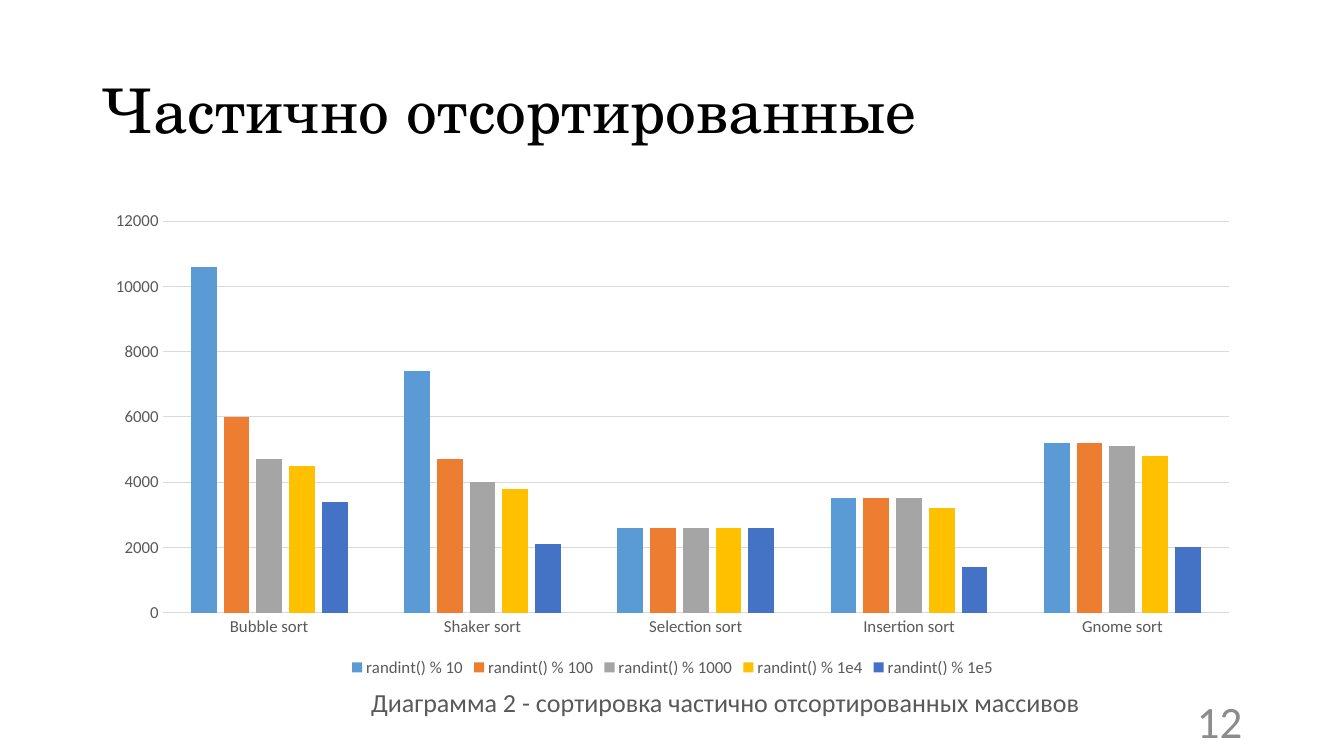
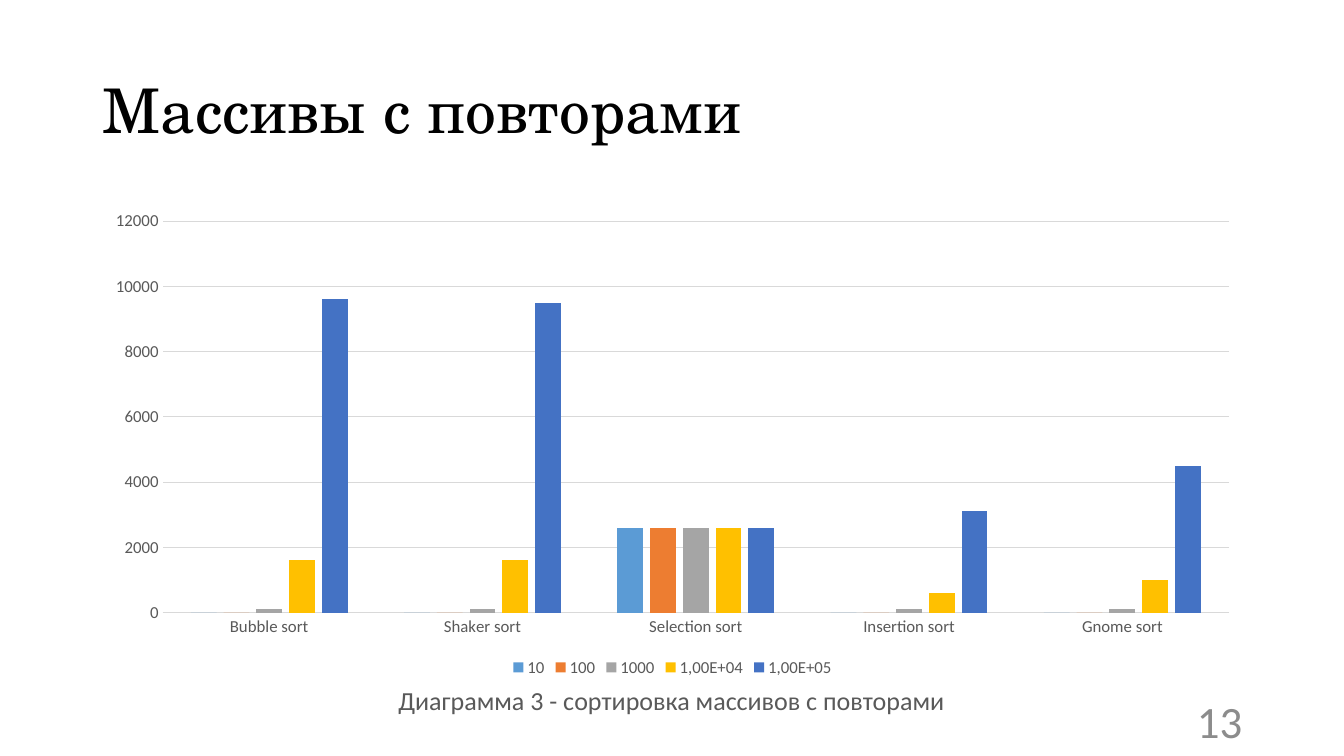
from pptx import Presentation
from pptx import util as u
from pptx.chart import data as cd
from pptx.dml import color as dml
from pptx.enum import chart as ch, text as tx

TITLE_FONT, BODY_FONT = "TeX Gyre Schola", "Calibri"
BLACK, GREY, NUMBER, RULE = "000000", "595959", "8C8C8C", "D9D9D9"
SERIES_COLORS = ["5B9BD5", "ED7D31", "A5A5A5", "FFC000", "4472C4"]
SORTS = ["Bubble sort", "Shaker sort", "Selection sort", "Insertion sort", "Gnome sort"]

TITLE_BOX = (0.92, 0.4, 11.5, 1.45)
CHART_BOX = (0.92, 2, 11.5, 4.76)
NUMBER_BOX = (9.42, 6.95, 3, 0.4)

TITLE = {"name": TITLE_FONT, "size": u.Pt(44)}
CAPTION = {"name": BODY_FONT, "size": u.Pt(18.6)}
PAGE = {"name": BODY_FONT, "size": u.Pt(32)}
LABEL = {"name": BODY_FONT, "size": u.Pt(12)}

SLIDES = [
    {
        "title": "Частично отсортированные",
        "number": "12",
        "caption": "Диаграмма 2 - сортировка частично отсортированных массивов",
        "caption_box": (3.33, 6.76, 7.73, 0.41),
        "series": {
            "randint() % 10": [10600, 7400, 2600, 3500, 5200],
            "randint() % 100": [6000, 4700, 2600, 3500, 5200],
            "randint() % 1000": [4700, 4000, 2600, 3500, 5100],
            "randint() % 1e4": [4500, 3800, 2600, 3200, 4800],
            "randint() % 1e5": [3400, 2100, 2600, 1400, 2000],
        },
    },
    {
        "title": "Массивы с повторами",
        "number": "13",
        "caption": "Диаграмма 3 - сортировка массивов с повторами",
        "caption_box": (3.82, 6.74, 5.68, 0.41),
        "series": {
            "10": [0, 0, 2600, 0, 0],
            "100": [0, 0, 2600, 0, 0],
            "1000": [100, 100, 2600, 100, 100],
            "1,00E+04": [1600, 1600, 2600, 600, 1000],
            "1,00E+05": [9600, 9500, 2600, 3100, 4500],
        },
    },
]


def rgb(value):
    return dml.RGBColor.from_string(value)


def inches(box):
    return [u.Inches(v) for v in box]


def apply(obj, values):
    for name, value in values.items():
        setattr(obj, name, value)


def style_font(font, values, color):
    apply(font, values)
    font.color.rgb = rgb(color)


def style_line(line, color):
    line.color.rgb = rgb(color)
    line.width = u.Pt(0.75)


def add_text(s, box, text, font, color, align, anchor=tx.MSO_ANCHOR.MIDDLE, spacing=None):
    tf = s.shapes.add_textbox(*inches(box)).text_frame
    apply(tf, {"word_wrap": True, "vertical_anchor": anchor})
    p = tf.paragraphs[0]
    apply(p, {"alignment": align, "line_spacing": spacing})
    r = p.add_run()
    r.text = text
    style_font(r.font, font, color)


def add_column_chart(s, box, series):
    data = cd.CategoryChartData(number_format="General")
    data.categories = SORTS
    for name, values in series.items():
        data.add_series(name, values)
    chart = s.shapes.add_chart(ch.XL_CHART_TYPE.COLUMN_CLUSTERED, *inches(box), data).chart
    apply(chart, {"has_title": False, "has_legend": True})
    style_font(chart.font, {"name": BODY_FONT, "size": u.Pt(10)}, BLACK)

    legend = chart.legend
    apply(legend, {"position": ch.XL_LEGEND_POSITION.BOTTOM, "include_in_layout": False})
    style_font(legend.font, LABEL, GREY)

    plot = chart.plots[0]
    apply(plot, {"gap_width": 219, "overlap": -27, "vary_by_categories": False})
    for ser, color in zip(plot.series, SERIES_COLORS):
        ser.invert_if_negative = False
        ser.format.fill.solid()
        ser.format.fill.fore_color.rgb = rgb(color)

    for axis in (chart.category_axis, chart.value_axis):
        apply(axis, {"major_tick_mark": ch.XL_TICK_MARK.NONE,
                     "minor_tick_mark": ch.XL_TICK_MARK.NONE})
        style_font(axis.tick_labels.font, LABEL, GREY)
    style_line(chart.category_axis.format.line, RULE)
    apply(chart.value_axis, {"minimum_scale": 0, "maximum_scale": 12000,
                             "major_unit": 2000, "has_major_gridlines": True})
    chart.value_axis.format.line.fill.background()
    style_line(chart.value_axis.major_gridlines.format.line, RULE)


def add_chart_slide(prs, content):
    s = prs.slides.add_slide(prs.slide_layouts[6])
    align = tx.PP_ALIGN
    add_text(s, TITLE_BOX, content["title"], TITLE, BLACK, align.LEFT, spacing=0.9)
    add_column_chart(s, CHART_BOX, content["series"])
    add_text(s, NUMBER_BOX, content["number"], PAGE, NUMBER, align.RIGHT)
    add_text(s, content["caption_box"], content["caption"], CAPTION, GREY,
             align.CENTER, tx.MSO_ANCHOR.TOP)


def main():
    prs = Presentation()
    apply(prs, {"slide_width": u.Inches(13.33), "slide_height": u.Inches(7.5)})
    for content in SLIDES:
        add_chart_slide(prs, content)
    prs.save("out.pptx")


if __name__ == "__main__":
    main()
